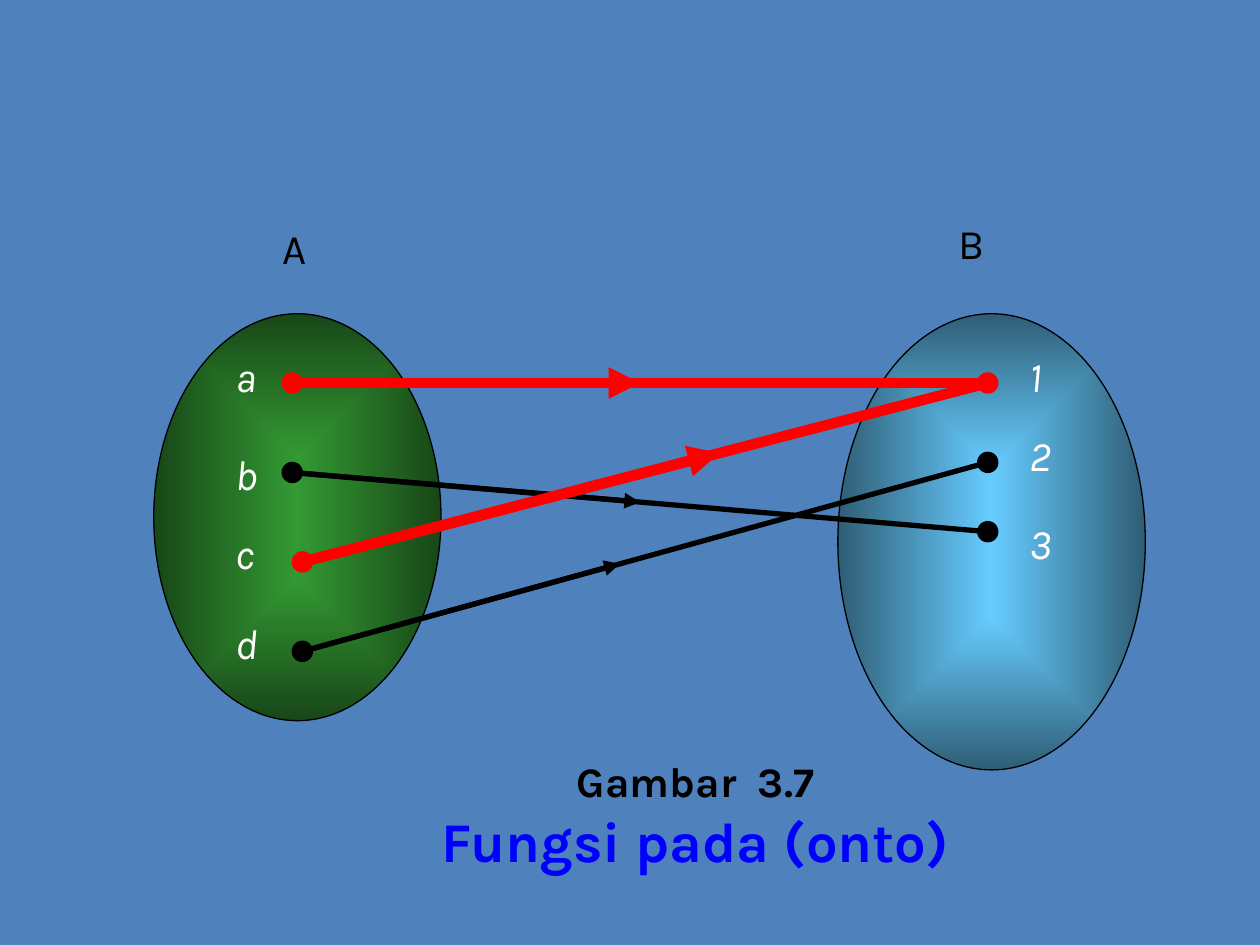
from dataclasses import dataclass

from pptx import Presentation
from pptx.dml.color import RGBColor
from pptx.enum.shapes import MSO_CONNECTOR as Connector, MSO_SHAPE as Shape
from pptx.enum.text import MSO_AUTO_SIZE as AutoSize, PP_ALIGN as Align
from pptx.oxml import parse_xml
from pptx.oxml.ns import nsdecls, qn
from pptx.oxml.xmlchemy import OxmlElement
from pptx.util import Inches, Pt


@dataclass(frozen=True)
class Theme:
    """Colours, font and sizes of the slide."""

    font: str = "Karla"
    background: str = "4F81BD"
    black: str = "000000"
    white: str = "FFFFFF"
    red: str = "FF0000"
    blue: str = "0000FF"
    domain: tuple = ("339933", "184718")
    codomain: tuple = ("66CCFF", "2F5E76")
    label_size: int = 24
    name_size: int = 32
    outline: float = 0.75
    thin: int = 3
    thick: int = 6
    dot: float = 0.16


class Diagram:
    """Draws the elements of a mapping diagram on one slide."""

    def __init__(self, slide, theme):
        """Keep the slide and theme and paint the background."""
        self.slide, self.theme = slide, theme
        fill = slide.background.fill
        fill.solid()
        fill.fore_color.rgb = RGBColor.from_string(theme.background)

    def ellipse(self, left, top, width, height, line_color):
        """Add an outlined ellipse."""
        shape = self.slide.shapes.add_shape(
            Shape.OVAL, Inches(left), Inches(top), Inches(width), Inches(height))
        shape.shadow.inherit = False
        shape.line.color.rgb = RGBColor.from_string(line_color)
        shape.line.width = Pt(self.theme.outline)
        return shape

    def set_oval(self, left, top, width, height, colors):
        """Add a set as an ellipse shaded from its centre outwards."""
        shape = self.ellipse(left, top, width, height, self.theme.black)
        shape.fill.gradient()
        for stop, color, position in zip(shape.fill.gradient_stops, colors, (0, 1)):
            stop.color.rgb = RGBColor.from_string(color)
            stop.position = position
        gradient = shape._element.spPr.find(qn("a:gradFill"))
        gradient.replace(gradient.find(qn("a:lin")), parse_xml(
            f'<a:path {nsdecls("a")} path="rect">'
            '<a:fillToRect l="50000" t="50000" r="50000" b="50000"/></a:path>'))

    def dot(self, center, color):
        """Add a round dot about its centre."""
        size = self.theme.dot
        x, y = center
        shape = self.ellipse(x - size / 2, y - size / 2, size, size, color)
        shape.fill.solid()
        shape.fill.fore_color.rgb = RGBColor.from_string(color)

    def line(self, start, end, color, width, arrow=False):
        """Add a straight line, with an arrowhead at its end if asked."""
        connector = self.slide.shapes.add_connector(
            Connector.STRAIGHT, *(Inches(value) for value in (*start, *end)))
        connector.line.color.rgb = RGBColor.from_string(color)
        connector.line.width = Pt(width)
        if arrow:
            head = OxmlElement("a:tailEnd")
            head.set("type", "triangle")
            connector.line._get_or_add_ln().append(head)
        connector._element.spPr.append(OxmlElement("a:effectLst"))

    def mapping(self, start, end, tip_x, color, width):
        """Join two dots and put an arrowhead part of the way along."""
        (x1, y1), (x2, y2) = start, end
        tip_y = y1 + (y2 - y1) * (tip_x - x1) / (x2 - x1)
        self.line(start, end, color, width)
        self.line(start, (tip_x, tip_y), color, width, arrow=True)

    def text(self, left, top, width, height, lines, align=Align.LEFT):
        """Add a text box with one paragraph per (text, format) pair."""
        box = self.slide.shapes.add_textbox(
            Inches(left), Inches(top), Inches(width), Inches(height))
        frame = box.text_frame
        frame.word_wrap = False
        frame.auto_size = AutoSize.SHAPE_TO_FIT_TEXT
        for index, (content, style) in enumerate(lines):
            paragraph = frame.add_paragraph() if index else frame.paragraphs[0]
            paragraph.alignment = align
            run = paragraph.add_run()
            run.text = content
            values = {"name": self.theme.font, "size": Pt(self.theme.label_size), **style}
            color = values.pop("color")
            for name, value in values.items():
                setattr(run.font, name, value)
            run.font.color.rgb = RGBColor.from_string(color)

    def label(self, left, top, content, color, italic=False):
        """Add a short label."""
        self.text(left, top, 0.39, 0.5, [(content, {"color": color, "italic": italic})])


def main():
    """Build the slide and save it."""
    theme = Theme()
    presentation = Presentation()
    presentation.slide_width, presentation.slide_height = Inches(10), Inches(7.5)
    slide = presentation.slides.add_slide(presentation.slide_layouts[6])
    diagram = Diagram(slide, theme)

    diagram.set_oval(1.22, 2.49, 2.28, 3.23, theme.domain)
    diagram.set_oval(6.65, 2.49, 2.44, 3.62, theme.codomain)
    diagram.label(2.14, 1.72, "A", theme.black)
    diagram.label(7.51, 1.68, "B", theme.black)

    first_y, step = 3.04, 0.71
    dots = {name: (x, first_y + row * step)
            for row, (name, x) in enumerate(zip("abcd", (2.32, 2.32, 2.4, 2.4)))}
    dots |= {name: (7.84, y) for name, y in zip("123", (first_y, 3.67, 4.22))}
    for name, center in dots.items():
        diagram.dot(center, theme.red if name in "ac1" else theme.black)

    red, black = (theme.red, theme.thick), (theme.black, theme.thin)
    for start, end, tip_x, style in (("a", "1", 5.08, red), ("b", "3", 5.08, black),
                                     ("d", "2", 4.92, black), ("c", "1", 5.71, red)):
        diagram.mapping(dots[start], dots[end], tip_x, *style)

    for left, names, tops in ((1.77, "abcd", (2.73, 3.51, 4.14, 4.85)),
                              (8.07, "123", (2.73, 3.36, 4.06))):
        for name, top in zip(names, tops):
            diagram.label(left, top, name, theme.white, italic=True)

    diagram.text(3.35, 5.95, 4.34, 1.04, [
        ("Gambar  3.7", {"color": theme.black, "bold": True}),
        ("Fungsi pada (onto)",
         {"color": theme.blue, "bold": True, "size": Pt(theme.name_size)}),
    ], Align.CENTER)
    presentation.save("out.pptx")


if __name__ == "__main__":
    main()
